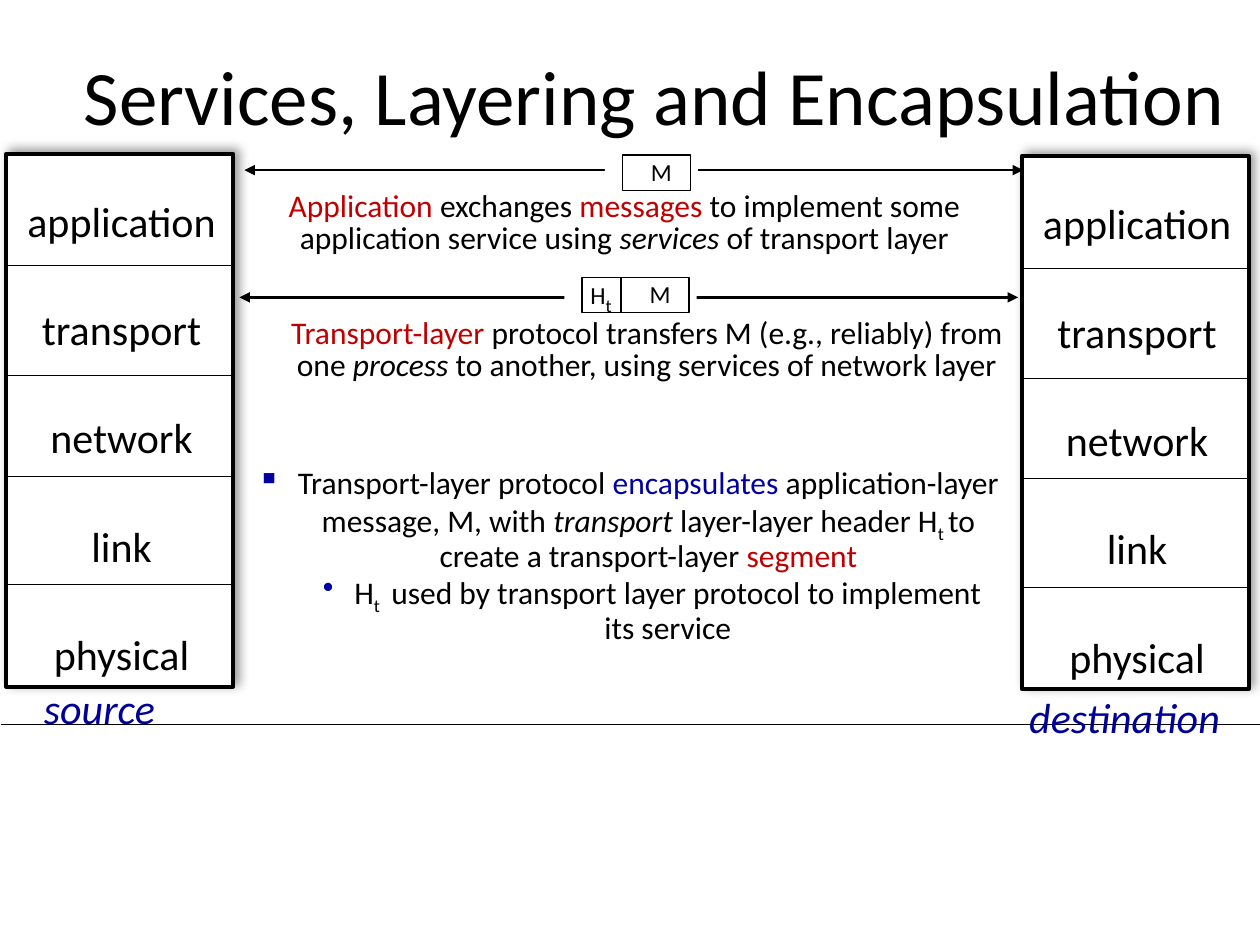
from lxml import etree
from pptx import Presentation
from pptx.dml.color import RGBColor
from pptx.enum import shapes, text
from pptx.oxml.ns import qn
from pptx.util import Inches, Pt

BLACK, WHITE, RED, BLUE, NAVY = "000000", "FFFFFF", "C00000", "0000A3", "000099"
FONT = "Calibri"
LAYERS = ["application", "transport", "network", "link", "physical"]
DIVIDERS = [0.89, 1.76, 2.56, 3.42]
SUB = {"sub": True}
ITALIC = {"italic": True}


def rgb(value):
    """Turn a hex string into a colour."""
    return RGBColor.from_string(value)


def add_node(parent, tag, **attrs):
    """Append a DrawingML element with attributes."""
    node = etree.SubElement(parent, qn(tag))
    for key, value in attrs.items():
        node.set(key, str(value))
    return node


def add_bullet(p, char, indent, hang):
    """Give a paragraph a blue hanging bullet."""
    pPr = p._p.get_or_add_pPr()
    pPr.set("marL", str(Inches(indent)))
    pPr.set("indent", str(-Inches(hang)))
    add_node(add_node(pPr, "a:buClr"), "a:srgbClr", val=BLUE)
    add_node(pPr, "a:buChar", char=char)


def add_run(p, content, size, color=BLACK, italic=False, sub=False):
    """Append one formatted run."""
    r = p.add_run()
    r.text = content
    r.font.name, r.font.size, r.font.italic = FONT, Pt(size), italic
    r.font.color.rgb = rgb(color)
    if sub:
        r._r.get_or_add_rPr().set("baseline", "-25000")


def add_text(s, box, paragraphs, size=18, align="CENTER", spacing=1.0, wrap=True,
             middle=False, inset=True, bullets=None, **fmt):
    """Add a text box whose paragraphs are lists of (text, format) runs."""
    tf = s.shapes.add_textbox(*map(Inches, box)).text_frame
    tf.word_wrap = wrap
    tf.vertical_anchor = text.MSO_ANCHOR.MIDDLE if middle else text.MSO_ANCHOR.TOP
    if not inset:
        tf.margin_left = tf.margin_right = tf.margin_top = tf.margin_bottom = 0
    for i, runs in enumerate(paragraphs):
        p = tf.add_paragraph() if i else tf.paragraphs[0]
        if bullets:
            p.level = i
            add_bullet(p, *bullets[i])
        p.alignment = getattr(text.PP_ALIGN, align)
        p.line_spacing = spacing
        for content, own in runs:
            add_run(p, content, **{"size": size, **fmt, **own})


def add_rect(s, box, width=None):
    """Add a white rectangle, outlined in black if a width is given."""
    sp = s.shapes.add_shape(shapes.MSO_SHAPE.RECTANGLE, *map(Inches, box))
    sp.shadow.inherit = False
    sp.fill.solid()
    sp.fill.fore_color.rgb = rgb(WHITE)
    if width:
        sp.line.color.rgb = rgb(BLACK)
        sp.line.width = Pt(width)
    else:
        sp.line.fill.background()
    return sp


def add_line(s, x, y, w, width=0.5, arrows=False):
    """Add a horizontal black line, with arrowheads at both ends on request."""
    line = s.shapes.add_connector(shapes.MSO_CONNECTOR.STRAIGHT, Inches(x), Inches(y),
                                  Inches(x + w), Inches(y))
    line.line.color.rgb = rgb(BLACK)
    line.line.width = Pt(width)
    if arrows:
        for tag in ("a:headEnd", "a:tailEnd"):
            add_node(line.line._get_or_add_ln(), tag, type="triangle")
    add_node(line._element.spPr, "a:effectLst")


def layer_stack(s, x, y, w, h):
    """Draw the five-layer protocol stack in the given box."""
    sp = add_rect(s, (x, y, w, h), 2.25)
    effects = sp._element.spPr.find(qn("a:effectLst"))
    shadow = add_node(effects, "a:outerShdw", blurRad=Pt(6), dist=Pt(3), dir=315 * 60000,
                      algn="bl", rotWithShape=0)
    add_node(add_node(shadow, "a:srgbClr", val=BLACK), "a:alpha", val=40000)
    add_text(s, (x - 0.05, y - 0.18, w + 0.13, h + 0.18),
             [[(name, {})] for name in LAYERS], size=24, spacing=2.15)
    for dy in DIVIDERS:
        add_line(s, x - 0.01, y + dy, w)


def exchange(s, x, y, w, cells, cell_dx, cell_dy, caption, caption_box):
    """Draw a two-way arrow with packet cells in its gap and a caption below."""
    add_line(s, x, y, w, 1.5, arrows=True)
    left, top = x + cell_dx, y + cell_dy
    add_rect(s, (left - 0.14, top - 0.1, sum(c[0] for c in cells) + 0.2, 0.43))
    for cell_w, runs, text_dx, text_w in cells:
        add_rect(s, (left, top, cell_w, 0.28), 0.75)
        add_text(s, (left + text_dx, top - 0.03, text_w, 0.33), [runs], size=14,
                 wrap=False, middle=True, inset=False)
        left += cell_w
    dx, dy, cw, ch = caption_box
    add_text(s, (x + dx, y + dy, cw, ch), [caption], spacing=0.85)


def encapsulation_notes(s, x, y, w, h):
    """Write the bulleted explanation in the given box."""
    add_text(s, (x, y, w, h), [
        [("Transport-layer protocol ", {}), ("encapsulates ", {"color": BLUE}),
         ("application-layer message, M, with ", {}), ("transport", ITALIC),
         (" layer-layer header H", {}), ("t ", SUB),
         ("to create a transport-layer ", {}), ("segment", {"color": RED})],
        [("H", {}), ("t ", SUB),
         (" used by transport layer protocol to implement its service", {})],
    ], spacing=0.9, bullets=[("▪", 0.32, 0.32), ("•", 0.63, 0.25)])


def main():
    """Build and save the slide."""
    prs = Presentation()
    prs.slide_width, prs.slide_height = Inches(10), Inches(7.5)
    s = prs.slides.add_slide(prs.slide_layouts[6])
    message = (0.54, [("M", {})], -0.06, 0.74)
    header = (0.31, [("H", {}), ("t", {"sub": True, "size": 18})], -0.01, 0.32)

    add_line(s, 0.01, 5.75, 10)
    add_text(s, (0.39, 0.31, 9.61, 0.98),
             [[("Services, Layering and Encapsulation", {})]],
             size=44, spacing=0.9, middle=True)
    encapsulation_notes(s, 1.94, 3.66, 6.09, 1.74)
    for x, y in ((0.05, 1.22), (8.11, 1.24)):
        layer_stack(s, x, y, 1.8, 4.23)
    for name, box in (("source", (0.25, 5.37, 1.2, 0.5)),
                      ("destination", (8.07, 5.44, 1.87, 0.5))):
        add_text(s, box, [[(name, {})]], size=24, align="LEFT", wrap=False,
                 color=NAVY, italic=True)
    exchange(s, 1.9, 2.36, 6.18, [header, message], 2.72, -0.16, [
        ("Transport-layer ", {"color": RED}),
        ("protocol transfers M (e.g., reliably) from one ", {}), ("process", ITALIC),
        (" to another, using services of network layer", {})], (0.16, 0.12, 6.15, 0.88))
    exchange(s, 1.94, 1.35, 6.18, [message], 3, -0.12, [
        ("Application ", {"color": RED}), ("exchanges ", {}), ("messages", {"color": RED}),
        (" to implement some application service using ", {}), ("services", ITALIC),
        (" of transport layer", {})], (-0.07, 0.12, 6.17, 0.63))
    prs.save("out.pptx")


if __name__ == "__main__":
    main()
